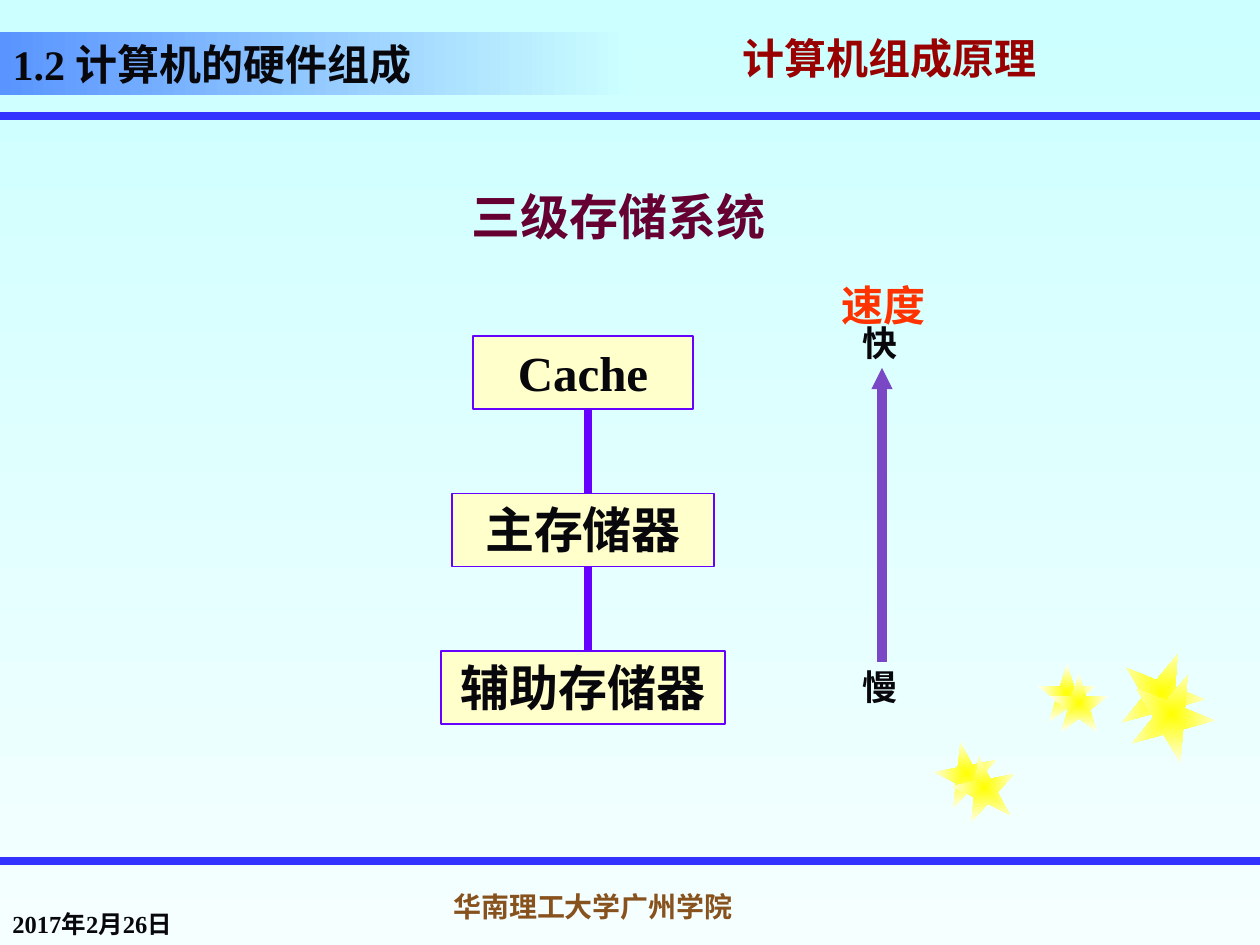
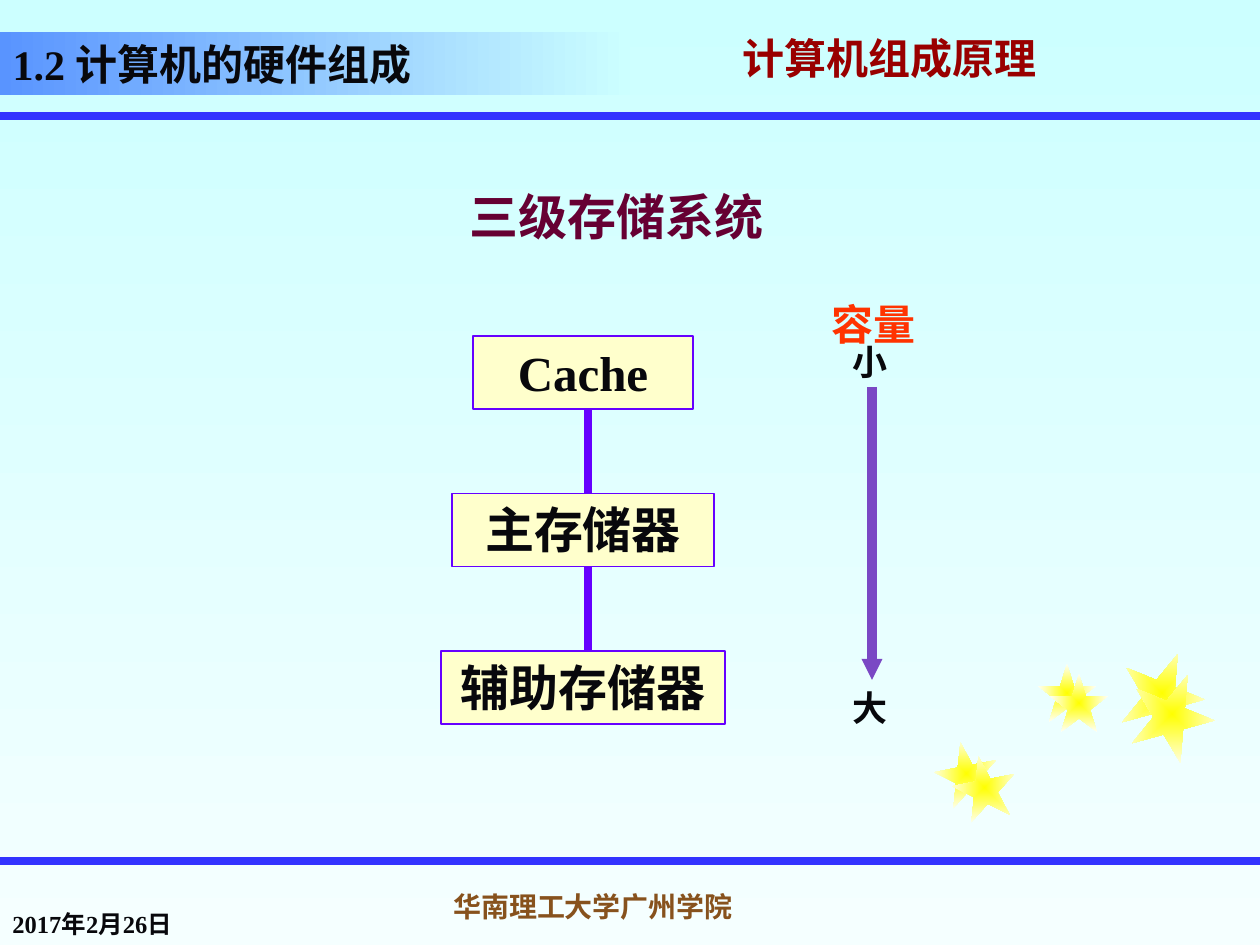
from lxml import etree
from pptx import Presentation
from pptx.dml.color import RGBColor
from pptx.enum.shapes import MSO_CONNECTOR, MSO_SHAPE
from pptx.enum.text import MSO_ANCHOR, MSO_AUTO_SIZE, PP_ALIGN
from pptx.oxml.ns import qn
from pptx.util import Pt

STRAIGHT = MSO_CONNECTOR.STRAIGHT
RECT, STAR = MSO_SHAPE.RECTANGLE, MSO_SHAPE.STAR_5_POINT
TOP, MIDDLE, BOTTOM = MSO_ANCHOR.TOP, MSO_ANCHOR.MIDDLE, MSO_ANCHOR.BOTTOM
LEFT, CENTER = PP_ALIGN.LEFT, PP_ALIGN.CENTER
GROW = MSO_AUTO_SIZE.SHAPE_TO_FIT_TEXT

SCALE = 914400 / 126
W, H = 1260, 945
SERIF, SANS = "Times New Roman", "Noto Sans CJK SC"
C = {
    "sky": "CCFFFF", "pale": "F5FFFF", "rule": "3333FF", "band": "5994FF",
    "star": "FFFF00", "star_edge": "FFFFF5", "ink": "08080C",
    "brown": "87521D", "red": "990000", "shadow": "808080",
    "cream": "FFFFCC", "violet": "6600FF", "arrow": "7A48C4",
    "orange": "FF3300", "plum": "660033",
}

TITLE = "1.2 计算机的硬件组成"
COURSE = "计算机组成原理"
SCHOOL = "华南理工大学广州学院"
DATE = "2017年2月26日"
HEADING = "三级存储系统"
RULES = [116, 861]
STARS = [(935, 742, 63, 349), (1038, 664, 58, 0), (1120, 651, 84, 22),
         (953, 756, 63, 349), (1050, 674, 58, 0), (1130, 672, 84, 22)]
LEVELS = [("Cache", 220), ("主存储器", 262), ("辅助存储器", 284)]
LEVEL_MID, LEVEL_TOP, LEVEL_STEP, LEVEL_H = 583, 336, 157.5, 73
LINK_X = 588
SLIDES = [
    {"heading": (441, 355), "label": ("速度", 829, 273),
     "arrow": (882, 662, 368), "ends": [("快", 315), ("慢", 659)]},
    {"heading": (444, 345), "label": ("容量", 819, 292),
     "arrow": (872, 387, 680), "ends": [("小", 334), ("大", 680)]},
]


def px(n):
    return round(n * SCALE)


def rgb(name):
    return RGBColor.from_string(C[name])


def gradient(fill, first, last, angle=0):
    fill.gradient()
    fill.gradient_angle = angle
    for stop, name in zip(fill.gradient_stops, (first, last)):
        stop.color.rgb = rgb(name)


def write(sp, text, size, color="ink", font=SERIF, anchor=TOP, align=LEFT):
    tf = sp.text_frame
    tf.word_wrap = True
    tf.vertical_anchor = anchor
    p = tf.paragraphs[0]
    p.alignment = align
    r = p.add_run()
    r.text = text
    r.font.size = Pt(size)
    r.font.bold = True
    r.font.name = font
    r.font.color.rgb = rgb(color)
    latin = r.font._element.find(qn("a:latin"))
    ea = etree.Element(qn("a:ea"), typeface=SANS)
    latin.addnext(ea)
    return r


def add_text(shapes, box, text, size, **style):
    sp = shapes.add_textbox(*map(px, box))
    write(sp, text, size, **style)
    return sp


def add_line(shapes, x1, y1, x2, y2, color, width, arrow=False):
    c = shapes.add_connector(STRAIGHT, *map(px, (x1, y1, x2, y2)))
    c.line.color.rgb = rgb(color)
    c.line.width = Pt(width)
    spPr = c.element.spPr
    if arrow:
        etree.SubElement(spPr.find(qn("a:ln")), qn("a:tailEnd"),
                         type="triangle", w="sm", len="sm")
    etree.SubElement(spPr, qn("a:effectLst"))
    return c


def add_star(shapes, x, y, size, turn):
    sp = shapes.add_shape(STAR, *map(px, (x, y, size, size)))
    sp.shadow.inherit = False
    sp.rotation = turn
    sp.line.fill.background()
    gradient(sp.fill, "star", "star_edge")
    grad = sp.element.spPr.find(qn("a:gradFill"))
    grad.remove(grad.find(qn("a:lin")))
    radial = etree.SubElement(grad, qn("a:path"))
    radial.set("path", "shape")
    etree.SubElement(radial, qn("a:fillToRect"),
                     {side: "50000" for side in "ltrb"})


def add_text_shadow(r):
    fill = r.font._element.find(qn("a:solidFill"))
    effects = etree.Element(qn("a:effectLst"))
    shadow = etree.SubElement(effects, qn("a:outerShdw"),
                              dist="35921", dir="2700000")
    etree.SubElement(shadow, qn("a:srgbClr"), val=C["shadow"])
    fill.addnext(effects)


def build_layout(layout, slide):
    for ph in list(layout.placeholders):
        if ph.placeholder_format.idx:
            ph.element.getparent().remove(ph.element)
    shapes = slide.shapes
    parts = [add_line(shapes, 0, y, W, y, "rule", 4.5) for y in RULES]
    stars = shapes.add_group_shape()
    for star in STARS:
        add_star(stars.shapes, *star)
    school = add_text(shapes, (441, 877, 307, 52), SCHOOL, 16,
                      color="brown", anchor=BOTTOM)
    course = shapes.add_textbox(*map(px, (730, 32, 530, 63)))
    r = write(course, COURSE, 24, color="red", font=SANS, anchor=MIDDLE)
    course.text_frame.paragraphs[0].line_spacing = 0.7
    add_text_shadow(r)
    for sp in parts + [stars, school, course]:
        layout.shapes.element.append(sp.element)


def add_title(slide):
    sp = slide.shapes.title
    sp.left, sp.top, sp.width, sp.height = map(px, (0, 32, 630, 63))
    gradient(sp.fill, "band", "sky")
    write(sp, TITLE, 24, anchor=BOTTOM)
    sp.text_frame.auto_size = MSO_AUTO_SIZE.NONE


def add_levels(slide):
    shapes = slide.shapes.add_group_shape().shapes
    tops = [LEVEL_TOP + i * LEVEL_STEP for i in range(len(LEVELS))]
    for (text, width), y in zip(LEVELS, tops):
        box = (LEVEL_MID - width / 2, y, width, LEVEL_H)
        sp = shapes.add_shape(RECT, *map(px, box))
        sp.shadow.inherit = False
        sp.fill.solid()
        sp.fill.fore_color.rgb = rgb("cream")
        sp.line.color.rgb = rgb("violet")
        sp.line.width = Pt(1)
        write(sp, text, 28, align=CENTER)
        sp.text_frame.auto_size = GROW
    for upper, lower in zip(tops, tops[1:]):
        add_line(shapes, LINK_X, upper + LEVEL_H, LINK_X, lower,
                 "violet", 4.5)


def add_scale(slide, label, arrow, ends):
    shapes = slide.shapes
    text, x, y = label
    sp = add_text(shapes, (x, y, 136, 63), text, 24, color="orange")
    sp.text_frame.auto_size = GROW
    mid, start, stop = arrow
    add_line(shapes, mid, start, mid, stop, "arrow", 6, arrow=True)
    for text, y in ends:
        sp = add_text(shapes, (x + 21, y, 60, 54), text, 20,
                      anchor=MIDDLE, align=CENTER)
        sp.text_frame.word_wrap = False
        sp.text_frame.auto_size = GROW


prs = Presentation()
prs.slide_width, prs.slide_height = px(W), px(H)
gradient(prs.slide_master.background.fill, "sky", "pale", 270)
layout = prs.slide_layouts[5]

for i, content in enumerate(SLIDES):
    slide = prs.slides.add_slide(layout)
    if i == 0:
        build_layout(layout, slide)
    add_title(slide)
    add_text(slide.shapes, (0, 882, 262, 63), DATE, 14, anchor=BOTTOM)
    add_levels(slide)
    x, width = content["heading"]
    sp = add_text(slide.shapes, (x, 180, width, 72), HEADING, 28,
                  color="plum", font=SANS, anchor=MIDDLE, align=CENTER)
    sp.text_frame.auto_size = GROW
    add_scale(slide, content["label"], content["arrow"], content["ends"])

prs.save("out.pptx")
